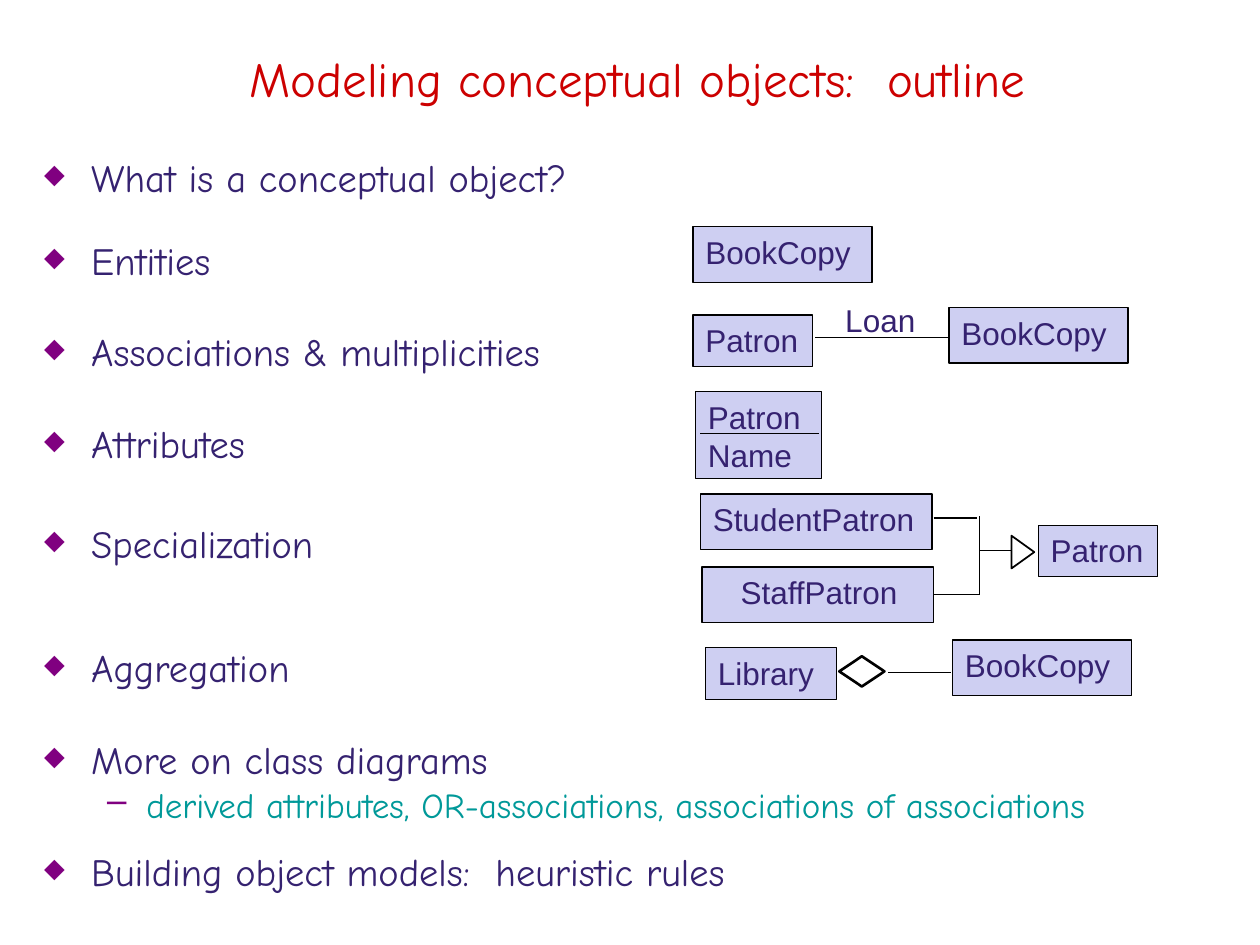
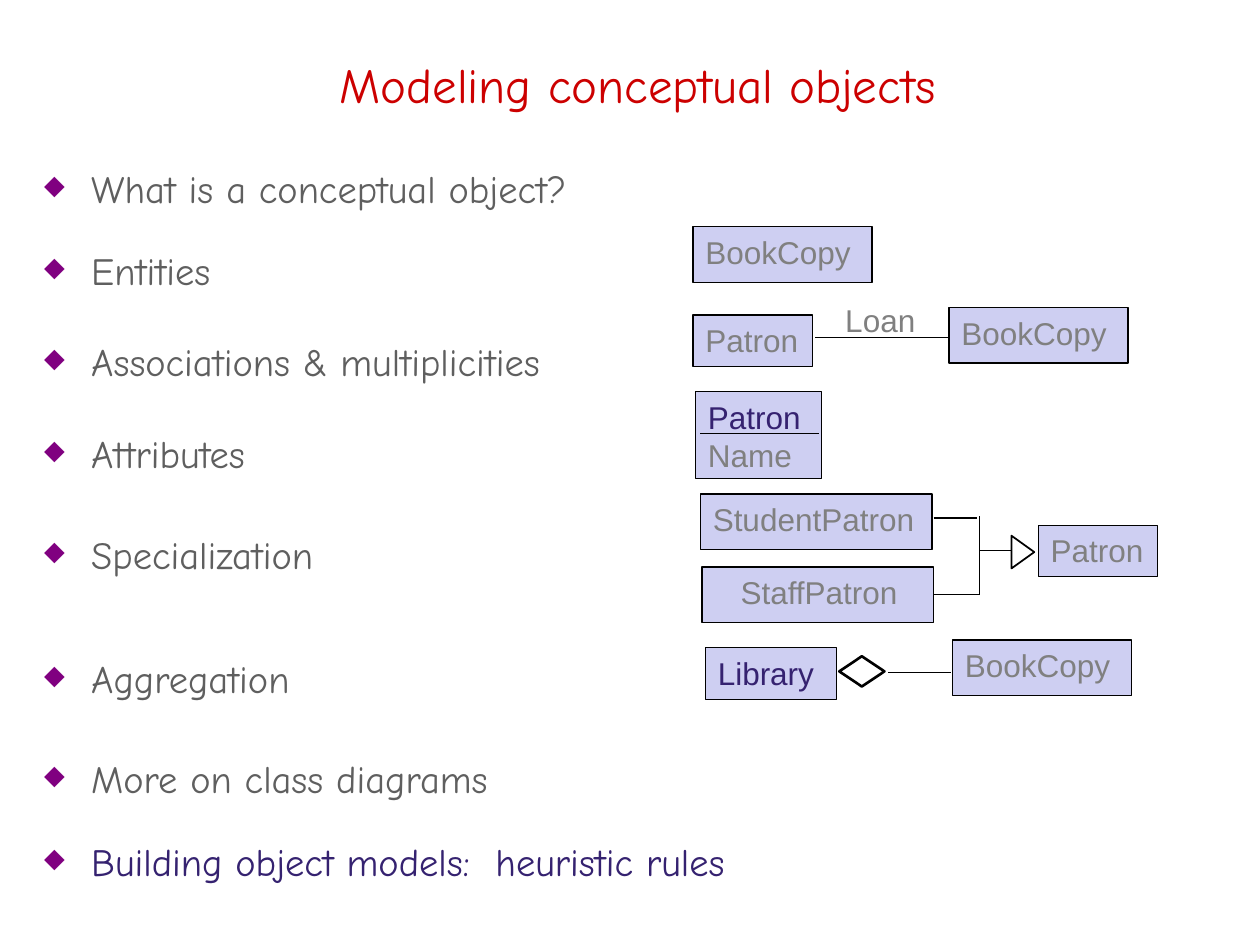
from pptx import Presentation
from pptx.dml.color import RGBColor
from pptx.enum.shapes import MSO_CONNECTOR as CONN, MSO_SHAPE as SHAPE
from pptx.enum.text import MSO_ANCHOR as ANCHOR, PP_ALIGN as ALIGN
from pptx.oxml import parse_xml
from pptx.oxml.ns import nsdecls
from pptx.util import Cm, Pt

RED, NAVY, TEAL, PURPLE = "CC0000", "352270", "009999", "800080"
GREY, DARK_GREY, LILAC, BLACK = "808080", "5F5F5F", "CECFF2", "000000"
HAND, SANS = "Comic Neue", "Arial"


def rgb(value):
    return RGBColor.from_string(value)


def style(p, font, size, color):
    for r in p.runs:
        r.font.name = font
        r.font.size = Pt(size)
        r.font.color.rgb = rgb(color)


topics = [
    ("What is a conceptual object?", 1.1),
    ("Entities", 1.4),
    ("Associations & multiplicities", 1.6),
    ("Attributes", 1.6),
    ("Specialization", 1.8),
    ("Aggregation", 2.3),
]
more = "More on class diagrams"
derived = "derived attributes, OR-associations, associations of associations"
building = "Building object models:  heuristic rules"

slides = [
    dict(title="Modeling conceptual objects:  outline", title_top=0.51, body_width=24.77,
         text=NAVY, label=NAVY,
         topics=topics + [(more, 1.6), (derived, 0.8), (building, 1.1)]),
    dict(title="Modeling conceptual objects", title_top=0.64, body_width=15.77,
         text=DARK_GREY, label=GREY,
         topics=topics + [(more, 1.8), (building, 1.4)]),
]

boxes = [
    ("BookCopy", 13.97, 4.57, 3.61, 1.12),
    ("Patron", 13.97, 6.35, 2.41, 1.04),
    ("Loan", 16.79, 5.94, 2.11, 1.04),
    ("BookCopy", 19.13, 6.2, 3.61, 1.12),
    ("Patron\nName", 14.02, 7.9, 2.54, 1.75),
    ("Patron", 20.93, 10.59, 2.41, 1.04),
    ("StudentPatron", 14.12, 9.96, 4.67, 1.12),
    ("StaffPatron", 14.15, 11.43, 4.67, 1.12),
    ("BookCopy", 19.2, 12.9, 3.61, 1.12),
    ("Library", 14.22, 13.06, 2.64, 1.04),
]
symbols = [
    (SHAPE.ISOSCELES_TRIANGLE, 20.29, 10.9, 0.66, 0.46, 90, 1),
    (SHAPE.FLOWCHART_DECISION, 16.92, 13.23, 0.91, 0.61, 0, 1.5),
]
lines = [
    (16.43, 6.81, 19.13, 6.81, 0.75, None),
    (14.12, 8.74, 16.51, 8.74, 0.75, None),
    (20.4, 11.1, 19.76, 11.1, 1, None),
    (19.74, 10.41, 19.74, 11.99, 0.75, None),
    (18.87, 11.99, 19.74, 11.99, 0.75, "StaffPatron"),
    (18.82, 10.44, 19.69, 10.44, 0.75, None),
    (17.91, 13.56, 19.18, 13.56, 0.75, None),
]

prs = Presentation()
prs.slide_width, prs.slide_height = Cm(25.4), Cm(19.05)

for page in slides:
    s = prs.slides.add_slide(prs.slide_layouts[6])

    tf = s.shapes.add_textbox(Cm(0.84), Cm(page["title_top"]), Cm(24.03), Cm(2.11)).text_frame
    tf.word_wrap = True
    tf.vertical_anchor = ANCHOR.MIDDLE
    tf.text = page["title"]
    tf.paragraphs[0].alignment = ALIGN.CENTER
    style(tf.paragraphs[0], HAND, 28, RED)

    tf = s.shapes.add_textbox(Cm(0.64), Cm(3.61), Cm(page["body_width"]), Cm(13.82)).text_frame
    tf.word_wrap = True
    tf.vertical_anchor = ANCHOR.MIDDLE
    tf.text = "\n".join(topic for topic, spacing in page["topics"])
    for i, (p, (topic, spacing)) in enumerate(zip(tf.paragraphs, page["topics"])):
        sub = topic == derived
        p.level = 1 if sub else 0
        p.line_spacing = spacing
        p.space_before = Pt(0 if i == 0 else 5.75 if sub else 10.1)
        pPr = p._p.get_or_add_pPr()
        pPr.set("marL", str(Cm(2.06 if sub else 0.95)))
        pPr.set("indent", str(-Cm(0.79 if sub else 0.95)))
        for bullet in (f'<a:buClr {nsdecls("a")}><a:srgbClr val="{PURPLE}"/></a:buClr>',
                       f'<a:buSzPct {nsdecls("a")} val="{100000 if sub else 70000}"/>',
                       f'<a:buChar {nsdecls("a")} char="{"–" if sub else "◆"}"/>'):
            pPr.append(parse_xml(bullet))
        color = TEAL if sub else NAVY if topic == building else page["text"]
        style(p, HAND, 20 if sub else 22, color)

    placed = {}
    for text, x, y, w, h in boxes:
        frame = Cm(x), Cm(y), Cm(w), Cm(h)
        if text == "Loan":
            sp = s.shapes.add_textbox(*frame)
        else:
            sp = s.shapes.add_shape(SHAPE.RECTANGLE, *frame)
            sp.shadow.inherit = False
            sp.fill.solid()
            sp.fill.fore_color.rgb = rgb(LILAC)
            sp.line.color.rgb = rgb(BLACK)
            sp.line.width = Pt(0.75)
        placed[text] = sp
        tf = sp.text_frame
        tf.word_wrap = True
        tf.vertical_anchor = ANCHOR.TOP
        if text == "StaffPatron":
            tf.margin_left = Cm(0.78)
        tf.text = text
        for p in tf.paragraphs:
            p.alignment = ALIGN.LEFT
            strong = text == "Library" or (text == "Patron\nName" and p.text == "Patron")
            style(p, SANS, 18, NAVY if strong else page["label"])

    for kind, x, y, w, h, angle, width in symbols:
        sp = s.shapes.add_shape(kind, Cm(x), Cm(y), Cm(w), Cm(h))
        sp.rotation = angle
        sp.shadow.inherit = False
        sp.fill.background()
        sp.line.color.rgb = rgb(BLACK)
        sp.line.width = Pt(width)

    for x1, y1, x2, y2, width, start in lines:
        line = s.shapes.add_connector(CONN.STRAIGHT, Cm(x1), Cm(y1), Cm(x2), Cm(y2))
        line.line.color.rgb = rgb(BLACK)
        line.line.width = Pt(width)
        line._element.spPr.append(parse_xml(f'<a:effectLst {nsdecls("a")}/>'))
        if start:
            line.begin_connect(placed[start], 3)

prs.save("out.pptx")
